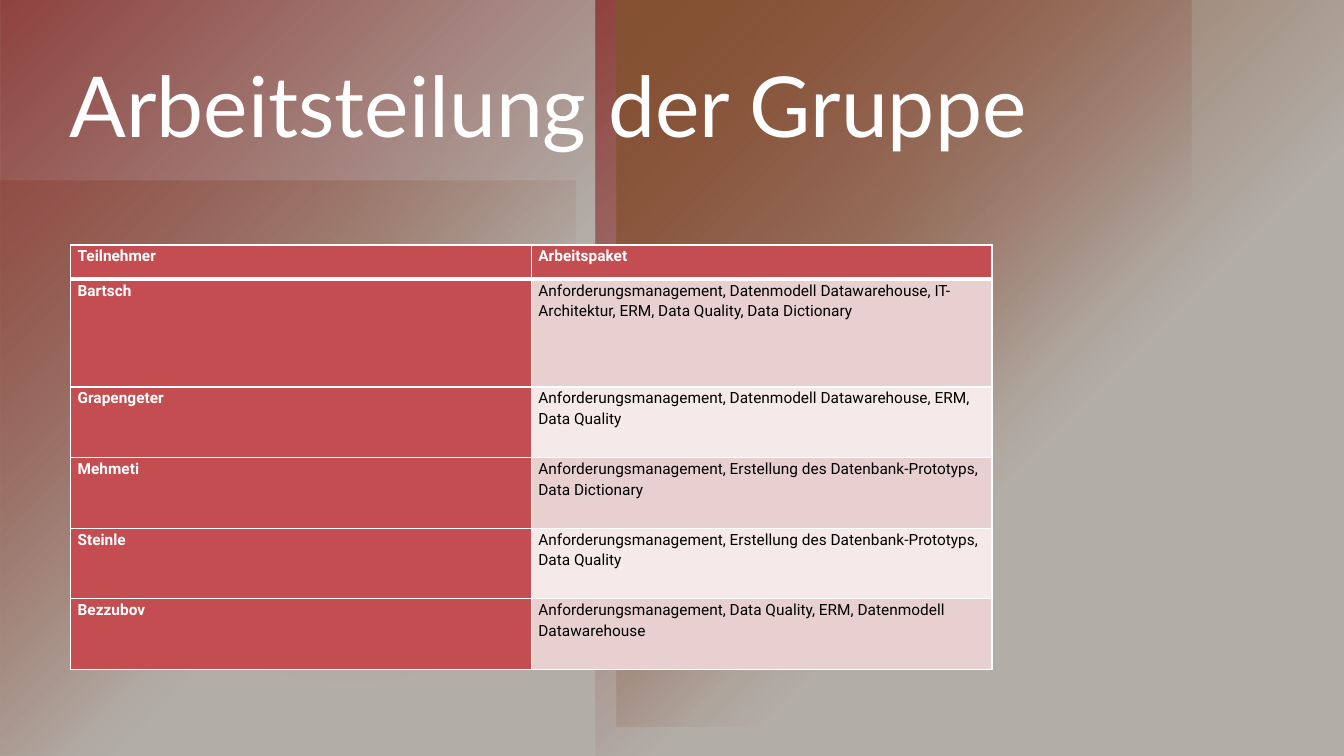
from lxml import etree
from pptx import Presentation
from pptx import util as u
from pptx.dml.color import RGBColor
from pptx.enum import shapes, text
from pptx.oxml import parse_xml
from pptx.oxml.ns import nsdecls, qn

WIDTH, HEIGHT = 13.33, 7.5
RED = RGBColor(0xC3, 0x4D, 0x51)
BROWN = RGBColor(0xB1, 0x68, 0x3B)
OLIVE = RGBColor(0xB8, 0xA2, 0x48)
DARK = RGBColor(0x41, 0x33, 0x24)
ROSE = RGBColor(0xE9, 0xD0, 0xD0)
PALE = RGBColor(0xF5, 0xE9, 0xE9)
WHITE = RGBColor(0xFF, 0xFF, 0xFF)
BLACK = RGBColor(0, 0, 0)

TITLE = "Arbeitsteilung der Gruppe"
ROWS = [
    ("Teilnehmer", "Arbeitspaket"),
    ("Bartsch", "Anforderungsmanagement, Datenmodell Datawarehouse, IT-Architektur, ERM, Data Quality, Data Dictionary"),
    ("Grapengeter", "Anforderungsmanagement, Datenmodell Datawarehouse, ERM, Data Quality"),
    ("Mehmeti", "Anforderungsmanagement, Erstellung des Datenbank-Prototyps, Data Dictionary"),
    ("Steinle", "Anforderungsmanagement, Erstellung des Datenbank-Prototyps, Data Quality"),
    ("Bezzubov", "Anforderungsmanagement, Data Quality, ERM, Datenmodell Datawarehouse"),
]
ROW_HEIGHTS = [0.34, 1.07] + [0.7] * 4
COLUMN_WIDTH = 4.57

PANEL = 5.91
SQUARE, LARGE_SQUARE = 5.71, 7.21
SMALL_GLOW, LARGE_GLOW = 4.72, 6.94
RECTANGLE = shapes.MSO_SHAPE.RECTANGLE
OVAL = shapes.MSO_SHAPE.OVAL
# kind, left, top, width, height, colour, opacity, gradient, rotation, flips
BACKDROP = [
    (RECTANGLE, 0, HEIGHT - SQUARE, SQUARE, SQUARE, BROWN, 60, True, 0, "V"),
    (OVAL, 6.29, 0.43, SMALL_GLOW, SMALL_GLOW, OLIVE, 60, False, 0, "V"),
    (OVAL, 0, HEIGHT - LARGE_GLOW, LARGE_GLOW, LARGE_GLOW, OLIVE, 20, False, 0, "V"),
    (RECTANGLE, 0, 0, PANEL, HEIGHT, RED, 100, True, 180, "V"),
    (RECTANGLE, PANEL, 0, PANEL, HEIGHT, RED, 100, True, 180, "HV"),
    (RECTANGLE, WIDTH - LARGE_SQUARE, 0, LARGE_SQUARE, LARGE_SQUARE, BROWN, 100, True, 180, "V"),
    (RECTANGLE, 0, 0, WIDTH, HEIGHT, DARK, 40, False, 0, ""),
]


def colour_xml(colour, opacity):
    return f'<a:srgbClr val="{colour}"><a:alpha val="{opacity * 1000}"/></a:srgbClr>'


def fill_xml(colour, opacity, gradient):
    if not gradient:
        return f'<a:solidFill {nsdecls("a")}>{colour_xml(colour, opacity)}</a:solidFill>'
    return (f'<a:gradFill {nsdecls("a")} rotWithShape="1"><a:gsLst>'
            f'<a:gs pos="0">{colour_xml(colour, opacity)}</a:gs>'
            f'<a:gs pos="60000">{colour_xml(colour, 0)}</a:gs></a:gsLst>'
            '<a:path path="circle"><a:fillToRect r="100000" b="100000"/></a:path></a:gradFill>')


def add_backdrop(slide):
    for kind, left, top, width, height, colour, opacity, gradient, rotation, flips in BACKDROP:
        shape = slide.shapes.add_shape(kind, *map(u.Inches, (left, top, width, height)))
        shape.shadow.inherit = False
        shape.line.fill.background()
        shape.rotation = rotation
        properties = shape._element.spPr
        for flip in flips:
            properties.find(qn("a:xfrm")).set("flip" + flip, "1")
        properties.find(qn("a:prstGeom")).addnext(parse_xml(fill_xml(colour, opacity, gradient)))
        if kind == OVAL:
            etree.SubElement(properties.find(qn("a:effectLst")), qn("a:softEdge"), rad=str(u.Pt(100)))


def add_borders(cell, bottom_width, top_width):
    properties = cell._tc.get_or_add_tcPr()
    widths = {"lnL": 1, "lnR": 1, "lnT": top_width, "lnB": bottom_width}
    for index, (side, width) in enumerate(widths.items()):
        properties.insert(index, parse_xml(
            f'<a:{side} {nsdecls("a")} w="{u.Pt(width)}"><a:solidFill>'
            f'{colour_xml(WHITE, 100)}</a:solidFill></a:{side}>'))


def add_work_table(slide):
    table = slide.shapes.add_table(
        len(ROWS), 2, u.Inches(0.7), u.Inches(2.43),
        u.Inches(2 * COLUMN_WIDTH), u.Inches(sum(ROW_HEIGHTS))).table
    for column in table.columns:
        column.width = u.Inches(COLUMN_WIDTH)
    for row, (values, height) in enumerate(zip(ROWS, ROW_HEIGHTS)):
        table.rows[row].height = u.Inches(height)
        for column, value in enumerate(values):
            cell = table.cell(row, column)
            heading = row == 0 or column == 0
            cell.fill.solid()
            cell.fill.fore_color.rgb = RED if heading else (ROSE if row % 2 else PALE)
            cell.margin_left = cell.margin_right = u.Inches(0.07)
            cell.margin_top = cell.margin_bottom = 0
            add_borders(cell, 3 if row == 0 else 1, 3 if row == 1 else 1)
            paragraph = cell.text_frame.paragraphs[0]
            paragraph.line_spacing = 1.15
            paragraph.space_after = u.Pt(10)
            add_run(paragraph, value, "Roboto", 11, WHITE if heading else BLACK, heading)


def add_run(paragraph, value, font, size, colour, bold=False):
    run = paragraph.add_run()
    run.text = value
    run.font.name = font
    run.font.size = u.Pt(size)
    run.font.color.rgb = colour
    run.font.bold = bold


def place_title(slide):
    title = slide.shapes.title
    title.left, title.top, title.width, title.height = map(u.Inches, (0.59, 0.59, 12.14, 1.98))
    frame = title.text_frame
    frame.word_wrap = True
    frame.auto_size = text.MSO_AUTO_SIZE.NONE
    frame.vertical_anchor = text.MSO_ANCHOR.TOP
    paragraph = frame.paragraphs[0]
    paragraph.alignment = text.PP_ALIGN.LEFT
    paragraph.line_spacing = 0.9
    add_run(paragraph, TITLE, "Lato", 60, WHITE)
    slide.shapes._spTree.append(title._element)


def main():
    presentation = Presentation()
    presentation.slide_width = u.Inches(WIDTH)
    presentation.slide_height = u.Inches(HEIGHT)
    slide = presentation.slides.add_slide(presentation.slide_layouts[5])
    add_backdrop(slide)
    add_work_table(slide)
    place_title(slide)
    presentation.save("out.pptx")


if __name__ == "__main__":
    main()
